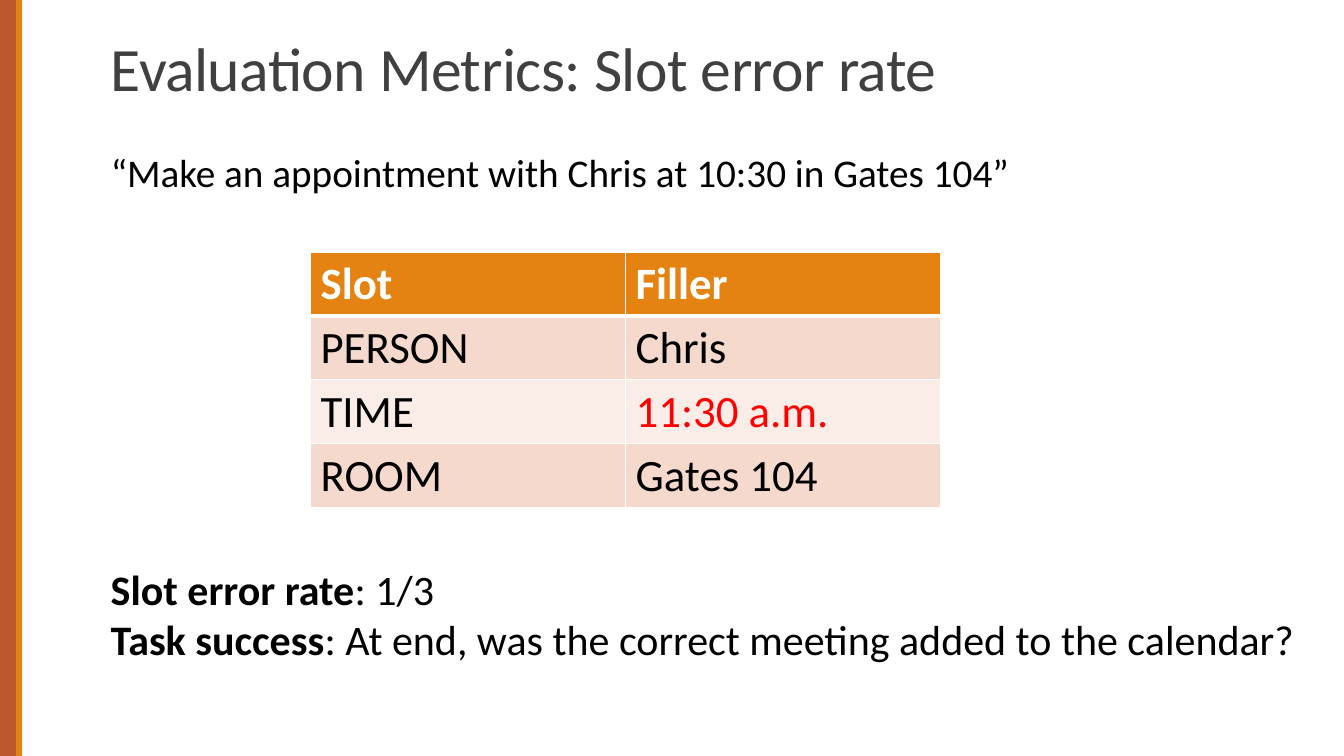
from dataclasses import dataclass

from lxml.etree import SubElement
from pptx import Presentation
from pptx.dml.color import RGBColor
from pptx.enum.shapes import MSO_SHAPE
from pptx.enum.text import MSO_ANCHOR, MSO_AUTO_SIZE, PP_ALIGN
from pptx.oxml.ns import qn
from pptx.util import Inches, Pt


@dataclass(frozen=True)
class Theme:
    font: str = "Calibri"
    rust: str = "BD582C"
    orange: str = "E48312"
    title: str = "404040"
    text: str = "000000"
    error: str = "FF0000"
    white: str = "FFFFFF"
    bands: tuple = ("F5D9CC", "FAEDE7")
    title_size: int = 44
    table_size: int = 32
    result_size: int = 30
    quote_size: int = 28


THEME = Theme()
SLOTS = [
    ("Slot", "Filler"),
    ("PERSON", "Chris"),
    ("TIME", "11:30 a.m."),
    ("ROOM", "Gates 104"),
]
WRONG_FILLER = "11:30 a.m."
RESULTS = [
    ("Slot error rate", ": 1/3"),
    ("Task success", ": At end, was the correct meeting added to the calendar?"),
]


def style(font, size, color, bold=False):
    font.name = THEME.font
    font.size = Pt(size)
    font.bold = bold
    font.color.rgb = RGBColor.from_string(color)


def add_side_bars(slide, left, top, width, height):
    edge = 0.16
    for x, bar_width, color in (
        (left, edge, THEME.rust),
        (left + edge, width - edge, THEME.orange),
    ):
        bar = slide.shapes.add_shape(
            MSO_SHAPE.RECTANGLE, Inches(x), Inches(top), Inches(bar_width), Inches(height)
        )
        bar.shadow.inherit = False
        bar.fill.solid()
        bar.fill.fore_color.rgb = RGBColor.from_string(color)
        bar.line.fill.background()


def add_title(slide, left, top, width, height):
    title = slide.shapes.title
    title.left, title.top = Inches(left), Inches(top)
    title.width, title.height = Inches(width), Inches(height)
    frame = title.text_frame
    frame.text = "Evaluation Metrics: Slot error rate"
    frame.auto_size = MSO_AUTO_SIZE.NONE
    frame.vertical_anchor = MSO_ANCHOR.BOTTOM
    heading = frame.paragraphs[0]
    heading.alignment = PP_ALIGN.LEFT
    heading.line_spacing = 0.85
    run = heading.runs[0]
    style(run.font, THEME.title_size, THEME.title)
    run.font._element.set("spc", "-40")


def add_text_frame(slide, left, top, width, height):
    box = slide.shapes.add_textbox(Inches(left), Inches(top), Inches(width), Inches(height))
    box.text_frame.word_wrap = True
    return box.text_frame


def add_quote(slide, left, top, width, height):
    quote = add_text_frame(slide, left, top, width, height)
    quote.text = "“Make an appointment with Chris at 10:30 in Gates 104”"
    style(quote.paragraphs[0].runs[0].font, THEME.quote_size, THEME.text)


def set_borders(cell, widths):
    properties = cell._tc.get_or_add_tcPr()
    for side, points in widths.items():
        line = SubElement(properties, qn(f"a:ln{side}"), w=str(Pt(points)))
        fill = SubElement(line, qn("a:solidFill"))
        SubElement(fill, qn("a:srgbClr"), val=THEME.white)


def add_slot_table(slide, left, top, width, height):
    table = slide.shapes.add_table(
        len(SLOTS), len(SLOTS[0]), Inches(left), Inches(top), Inches(width), Inches(height)
    ).table
    for row, entries in enumerate(SLOTS):
        header = row == 0
        background = THEME.orange if header else THEME.bands[(row - 1) % 2]
        for column, entry in enumerate(entries):
            cell = table.cell(row, column)
            set_borders(
                cell, {"L": 1, "R": 1, "T": 3 if row == 1 else 1, "B": 3 if header else 1}
            )
            cell.fill.solid()
            cell.fill.fore_color.rgb = RGBColor.from_string(background)
            cell.text_frame.text = entry
            color = THEME.white if header else THEME.text
            if entry == WRONG_FILLER:
                color = THEME.error
            style(cell.text_frame.paragraphs[0].runs[0].font, THEME.table_size, color, header)


def add_results(slide, left, top, width, height):
    results = add_text_frame(slide, left, top, width, height)
    for index, (metric, value) in enumerate(RESULTS):
        line = results.add_paragraph() if index else results.paragraphs[0]
        for part, bold in ((metric, True), (value, False)):
            run = line.add_run()
            run.text = part
            style(run.font, THEME.result_size, THEME.text, bold)


def build_metric_slide(deck):
    slide = deck.slides.add_slide(deck.slide_layouts[5])
    add_side_bars(slide, 0, 0, 0.22, 7.5)
    add_title(slide, 1, 0.25, 12.25, 0.83)
    add_results(slide, 1, 5.54, 12.33, 1.11)
    add_quote(slide, 1, 1.42, 9.92, 0.57)
    add_slot_table(slide, 3.08, 2.5, 6.25, 2.53)


def main():
    deck = Presentation()
    deck.slide_width, deck.slide_height = Inches(13.33), Inches(7.5)
    build_metric_slide(deck)
    deck.save("out.pptx")


if __name__ == "__main__":
    main()
